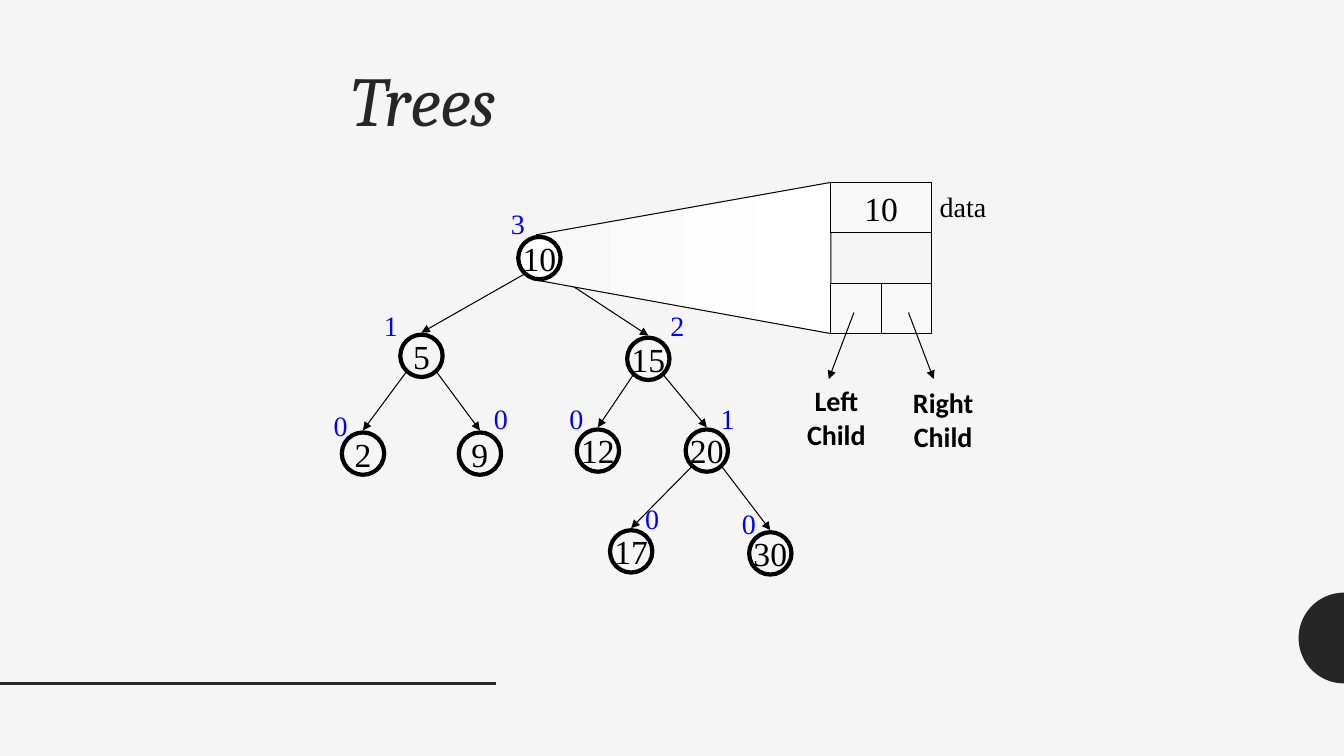
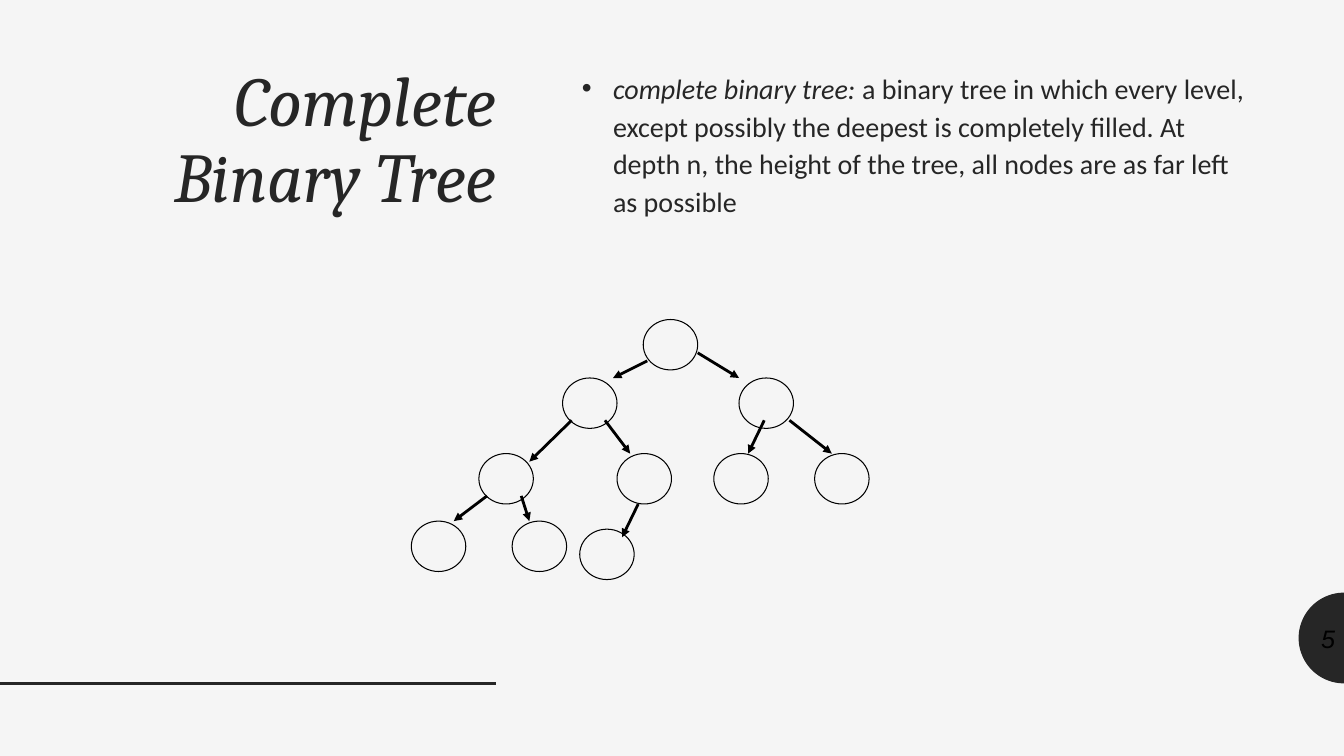
from math import cos, pi, sin

from lxml.etree import SubElement
from pptx import Presentation
from pptx.dml.color import RGBColor
from pptx.enum.shapes import MSO_CONNECTOR, MSO_SHAPE
from pptx.enum.text import MSO_ANCHOR, MSO_AUTO_SIZE, PP_ALIGN
from pptx.oxml.ns import qn
from pptx.util import Inches, Pt

PAPER, DARK, BLACK, BLUE = "F5F5F5", "262626", "000000", "0000FF"
WHITE, CELL = "FFFFFF", "F8F8F8"
SERIF, SANS, TITLE_FONT = "Times New Roman", "Calibri", "Cambria"
SLIDE_W, SLIDE_H = 13.33, 7.5


def rgb(value):
    return RGBColor.from_string(value)


def box(left, top, width, height):
    return [Inches(v) for v in (left, top, width, height)]


# Shared drawing helpers
def set_font(paragraph, name, size, color, bold=False, italic=False):
    font = paragraph.font
    font.name, font.size = name, Pt(size)
    font.bold, font.italic = bold, italic
    font.color.rgb = rgb(color)


def paint(shape, fill=None, line=None, width=0.75):
    shape.shadow.inherit = False
    if fill:
        shape.fill.solid()
        shape.fill.fore_color.rgb = rgb(fill)
    else:
        shape.fill.background()
    if line:
        shape.line.color.rgb = rgb(line)
        shape.line.width = Pt(width)
    else:
        shape.line.fill.background()


def add_outline(slide, points):
    """Closed outline through points given in inches."""
    corners = [(Inches(x), Inches(y)) for x, y in points]
    builder = slide.shapes.build_freeform(*corners[0], scale=1.0)
    builder.add_line_segments(corners[1:], close=True)
    return builder.convert_to_shape()


def add_line(slide, x1, y1, x2, y2, width=0.75, color=BLACK, arrow=False):
    line = slide.shapes.add_connector(MSO_CONNECTOR.STRAIGHT, *box(x1, y1, x2, y2))
    line.line.color.rgb = rgb(color)
    line.line.width = Pt(width)
    if arrow:
        SubElement(line.line._get_or_add_ln(), qn("a:tailEnd"), type="triangle")
    SubElement(line._element.spPr, qn("a:effectLst"))


def add_cell(slide, kind, place, text="", fill=None, width=0.75):
    """Outlined preset shape with an optional centred value."""
    cell = slide.shapes.add_shape(kind, *box(*place))
    paint(cell, fill, BLACK, width)
    if text:
        frame = cell.text_frame
        frame.word_wrap = False
        frame.vertical_anchor = MSO_ANCHOR.MIDDLE
        frame.text = text
        frame.paragraphs[0].alignment = PP_ALIGN.CENTER
        set_font(frame.paragraphs[0], SERIF, 24, BLACK)


def add_label(slide, place, text, font=SERIF, size=20, color=BLACK, bold=False,
              italic=False, align=PP_ALIGN.LEFT, wrap=False):
    frame = slide.shapes.add_textbox(*box(*place)).text_frame
    frame.word_wrap = wrap
    frame.text = text
    frame.paragraphs[0].alignment = align
    set_font(frame.paragraphs[0], font, size, color, bold, italic)
    return frame


# Parts that every slide shares
def add_base_slide(prs, layout, title, number=""):
    slide = prs.slides.add_slide(prs.slide_layouts[layout])
    radius, middle, steps = 0.45, 6.33, 48
    half_disc = add_outline(slide, [
        (SLIDE_W - radius * sin(pi * i / steps), middle - radius * cos(pi * i / steps))
        for i in range(steps + 1)])
    paint(half_disc, DARK)
    add_line(slide, 0, 6.78, 4.92, 6.78, 2, DARK)
    if number:
        badge = add_label(slide, (12.89, 6.13, 0.45, 0.4), number, "Arial", 18,
                          italic=True, align=PP_ALIGN.RIGHT, wrap=True)
        badge.vertical_anchor = MSO_ANCHOR.MIDDLE

    heading = slide.shapes.title
    heading.left, heading.top, heading.width, heading.height = box(0.83, 0.61, 4.19, 5.42)
    frame = heading.text_frame
    frame.auto_size = MSO_AUTO_SIZE.NONE
    frame.vertical_anchor = MSO_ANCHOR.TOP
    frame.text = title
    paragraph = frame.paragraphs[0]
    paragraph.alignment = PP_ALIGN.RIGHT
    paragraph.line_spacing = 0.9
    set_font(paragraph, TITLE_FONT, 50, DARK, italic=True)
    return slide


# Slide "Trees": value, centre, height label, label corner, parent
VALUE_NODES = [
    ("10", 2.35, 0.56, "3", 1.97, 0, None),
    ("5", 1.18, 1.53, "1", 0.71, 1.01, "10"),
    ("15", 3.43, 1.56, "2", 3.55, 1.01, "10"),
    ("2", 0.6, 2.5, "0", 0.21, 2, "5"),
    ("9", 1.76, 2.5, "0", 1.8, 1.93, "5"),
    ("12", 2.93, 2.47, "0", 2.55, 1.93, "15"),
    ("20", 4.01, 2.47, "1", 4.05, 1.93, "15"),
    ("17", 3.26, 3.47, "0", 3.3, 2.93, "20"),
    ("30", 4.64, 3.49, "0", 4.26, 2.98, "20"),
]


def add_tree_links(slide, left, top):
    centres = {value: (x, y) for value, x, y, *_ in VALUE_NODES}
    for _, x, y, _, _, _, parent in VALUE_NODES:
        if parent:
            px, py = centres[parent]
            side = 0.15 if x > px else -0.15
            add_line(slide, left + px + side, top + py + 0.16,
                     left + x, top + y - 0.23, arrow=True)


def add_tree_nodes(slide, left, top, size=0.42):
    for value, x, y, height, label_x, label_y, parent in VALUE_NODES:
        add_cell(slide, MSO_SHAPE.OVAL,
                 (left + x - size / 2, top + y - size / 2, size, size),
                 value, None if parent else WHITE, 3)
        add_label(slide, (left + label_x, top + label_y, 0.34, 0.43), height, color=BLUE)


def add_zoom_cone(slide, left, top, width, height):
    """Widens from the root node to the full record on the right."""
    right = left + width
    cone = add_outline(slide, [(left, top + 0.52), (right, top),
                               (right, top + height), (left, top + 0.97)])
    paint(cone, CELL, BLACK)
    cone.fill.gradient()
    cone.fill.gradient_angle = 0
    for stop, color in zip(cone.fill.gradient_stops, (CELL, WHITE)):
        stop.color.rgb = rgb(color)


def add_record(slide, left, top, row=0.5):
    """Node record: data on top, two child pointers at the bottom."""
    add_cell(slide, MSO_SHAPE.RECTANGLE, (left, top, 2 * row, row), "10", CELL)
    add_label(slide, (left + 0.98, top + 0.02, 0.75, 0.43), "data")
    add_line(slide, left + 2 * row, top + 0.45, left + 2 * row, top + 1.25, 0.5)
    for column in range(2):
        add_cell(slide, MSO_SHAPE.RECTANGLE,
                 (left + column * row, top + 2 * row, row, row), fill=CELL)
    for start, end, label_x, label_y, text in (
            (0.23, -0.02, -0.39, 1.95, "Left Child"),
            (0.77, 1.02, 0.67, 1.97, "Right Child")):
        add_line(slide, left + start, top + 1.29, left + end, top + 1.95, arrow=True)
        add_label(slide, (left + label_x, top + label_y, 0.89, 0.77), text, SANS,
                  bold=True, align=PP_ALIGN.CENTER, wrap=True)


def build_trees(prs):
    slide = add_base_slide(prs, 5, "Trees")
    add_tree_links(slide, 3, 2)
    add_zoom_cone(slide, 5.32, 1.81, 2.92, 1.5)
    add_tree_nodes(slide, 3, 2)
    add_record(slide, 8.24, 1.81)


# Slide "Complete Binary Tree": node corners and arrow ends
EMPTY_NODES = [
    (2.3, 0),
    (1.5, 0.58), (3.25, 0.58),
    (0.67, 1.33), (2.04, 1.33), (3, 1.33), (4, 1.33),
    (0, 2), (1, 2), (1.67, 2.08),
]
EMPTY_LINKS = [
    (2.34, 0.41, 2, 0.58), (2.84, 0.33, 3.25, 0.58),
    (1.59, 1, 1.17, 1.41), (1.92, 1, 2.17, 1.33),
    (3.5, 1, 3.34, 1.33), (3.75, 1, 4.17, 1.33),
    (0.75, 1.75, 0.42, 2), (1.09, 1.75, 1.17, 2), (2.25, 1.83, 2.09, 2.16),
]


def add_complete_tree(slide, left, top):
    for x, y in EMPTY_NODES:
        add_cell(slide, MSO_SHAPE.OVAL, (left + x, top + y, 0.54, 0.5))
    for x1, y1, x2, y2 in EMPTY_LINKS:
        add_line(slide, left + x1, top + y1, left + x2, top + y2, 2, arrow=True)


def add_definition(slide, left, top, width, height, term, meaning):
    body = slide.placeholders[1]
    body.left, body.top, body.width, body.height = box(left, top, width, height)
    frame = body.text_frame
    frame.auto_size = MSO_AUTO_SIZE.NONE
    frame.vertical_anchor = MSO_ANCHOR.TOP
    paragraph = frame.paragraphs[0]
    paragraph.line_spacing = 1.12
    paragraph.space_before = Pt(0)
    properties = paragraph._p.get_or_add_pPr()
    properties.set("marL", str(Inches(0.31)))
    properties.set("indent", str(Inches(-0.31)))
    SubElement(properties, qn("a:buFont"), typeface="Arial")
    SubElement(properties, qn("a:buChar"), char="•")
    set_font(paragraph, SANS, 20, DARK)
    for text, italic in ((term, True), (meaning, False)):
        run = paragraph.add_run()
        run.text = text
        run.font.italic = italic


def build_complete_tree(prs):
    slide = add_base_slide(prs, 1, "Complete Binary Tree", "5")
    add_definition(
        slide, 5.67, 0.62, 6.83, 6.18, "complete binary tree:",
        " a binary tree in which every level, except possibly the deepest is "
        "completely filled. At depth n, the height of the tree, all nodes are "
        "as far left as possible")
    add_complete_tree(slide, 4.08, 3.17)


def main():
    prs = Presentation()
    prs.slide_width, prs.slide_height = Inches(SLIDE_W), Inches(SLIDE_H)
    backdrop = prs.slide_master.background.fill
    backdrop.solid()
    backdrop.fore_color.rgb = rgb(PAPER)
    build_trees(prs)
    build_complete_tree(prs)
    prs.save("out.pptx")


if __name__ == "__main__":
    main()
